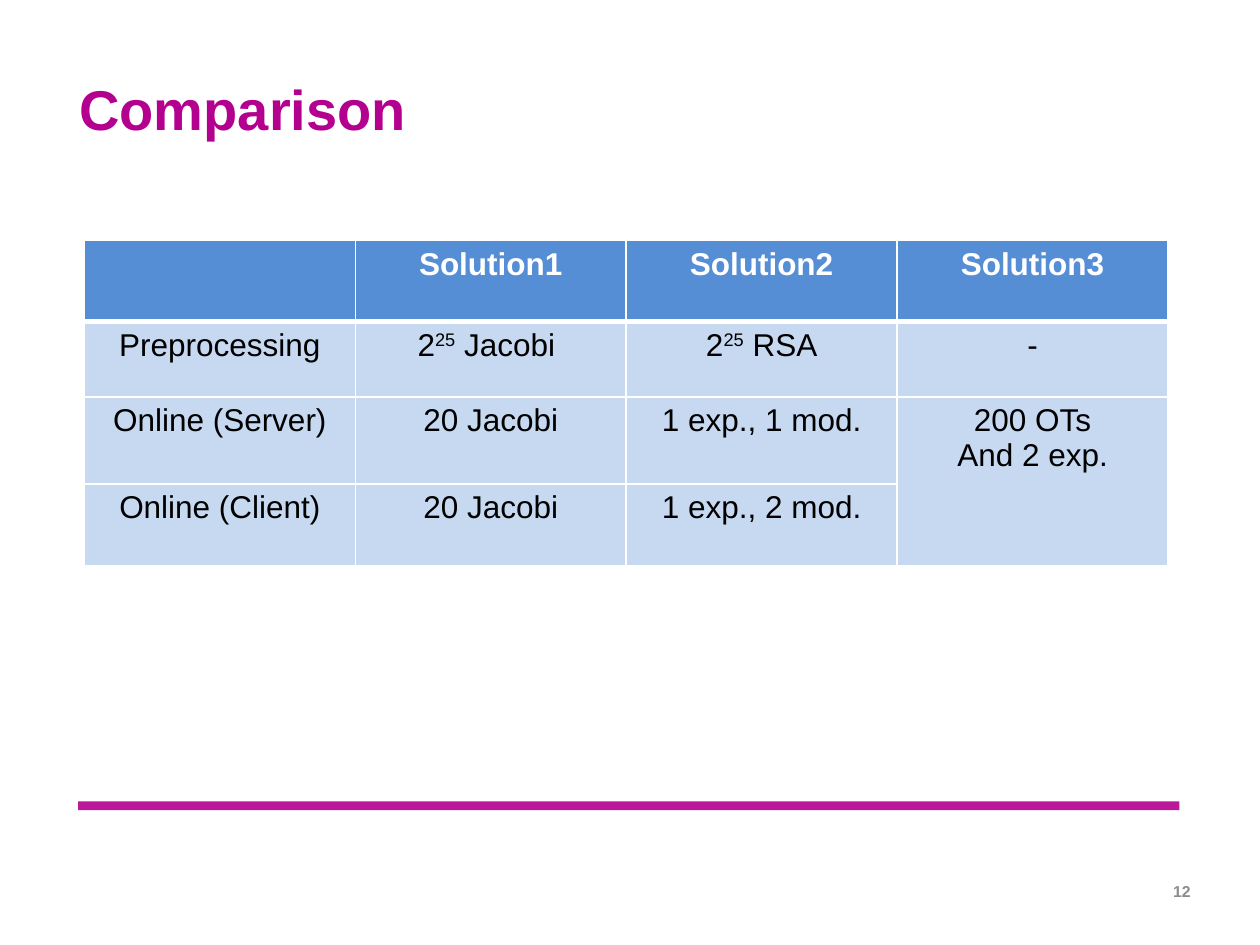
from lxml import etree
from pptx import Presentation
from pptx.dml.color import RGBColor
from pptx.enum.shapes import MSO_SHAPE
from pptx.enum.text import MSO_ANCHOR, MSO_AUTO_SIZE, PP_ALIGN
from pptx.oxml.ns import qn
from pptx.util import Inches, Pt

RECTANGLE = MSO_SHAPE.RECTANGLE
TOP, MIDDLE = MSO_ANCHOR.TOP, MSO_ANCHOR.MIDDLE
LEFT, CENTER, RIGHT = PP_ALIGN.LEFT, PP_ALIGN.CENTER, PP_ALIGN.RIGHT
NO_AUTOFIT = MSO_AUTO_SIZE.NONE

TITLE_ONLY = 5
COLORS = {
    "accent": "B4008F",
    "header": "558ED5",
    "body": "C6D9F1",
    "white": "FFFFFF",
    "black": "000000",
    "number": "8C8C8C",
}
TITLE_FONT = {"name": "Arial", "size": Pt(32), "bold": True}
NUMBER_FONT = {"name": "Arial", "size": Pt(9), "bold": True}
HEADER_FONT = {"name": "Arial", "size": Pt(18), "bold": True}
BODY_FONT = {"name": "Arial", "size": Pt(18), "bold": False}

COLUMN_WIDTH = 2.15
ROW_HEIGHTS = [0.64, 0.6, 0.69, 0.65]
ROWS = [
    ["", "Solution1", "Solution2", "Solution3"],
    ["Preprocessing", "2^25^ Jacobi ", "2^25^ RSA", "-"],
    ["Online (Server)", "20 Jacobi", "1 exp., 1 mod.", "200 OTs\nAnd 2 exp."],
    ["Online (Client)", "20 Jacobi", "1 exp., 2 mod.", ""],
]


def rgb(color):
    return RGBColor.from_string(COLORS[color])


def apply_values(target, values):
    for name, value in values.items():
        setattr(target, name, value)


def add_run(paragraph, text, font, color):
    run = paragraph.add_run()
    run.text = text
    apply_values(run.font, font)
    run.font.color.rgb = rgb(color)
    return run


def format_frame(text_frame, anchor, margin_top=0):
    apply_values(text_frame, {
        "word_wrap": True,
        "auto_size": NO_AUTOFIT,
        "vertical_anchor": anchor,
        "margin_left": 0,
        "margin_right": 0,
        "margin_top": Inches(margin_top),
        "margin_bottom": 0,
    })


def add_title(slide, text):
    title = slide.shapes.title
    apply_values(title, {
        "left": Inches(0.63),
        "top": Inches(0.54),
        "width": Inches(8.74),
        "height": Inches(0.69),
    })
    format_frame(title.text_frame, TOP, 0.05)
    paragraph = title.text_frame.paragraphs[0]
    paragraph.alignment = LEFT
    add_run(paragraph, text, TITLE_FONT, "accent")


def add_footer_bar(slide):
    bar = slide.shapes.add_shape(
        RECTANGLE, Inches(0.62), Inches(6.36), Inches(8.74), Inches(0.07))
    bar.shadow.inherit = False
    bar.fill.solid()
    bar.fill.fore_color.rgb = rgb("accent")
    bar.line.fill.background()
    color = bar.fill._xPr.find(".//" + qn("a:srgbClr"))
    etree.SubElement(color, qn("a:alpha"), val="90000")


def add_slide_number(slide, text):
    box = slide.shapes.add_textbox(
        Inches(7.76), Inches(7), Inches(1.69), Inches(0.14))
    format_frame(box.text_frame, MIDDLE)
    paragraph = box.text_frame.paragraphs[0]
    paragraph.alignment = RIGHT
    add_run(paragraph, text, NUMBER_FONT, "number")


def set_borders(cell, widths):
    properties = cell._tc.get_or_add_tcPr()
    for side, width in widths.items():
        line = etree.SubElement(properties, qn(f"a:ln{side}"), w=str(Pt(width)))
        fill = etree.SubElement(line, qn("a:solidFill"))
        etree.SubElement(fill, qn("a:srgbClr"), val=COLORS["white"])


def write_cell(cell, text, font, color):
    for index, line in enumerate(text.split("\n")):
        frame = cell.text_frame
        paragraph = frame.add_paragraph() if index else frame.paragraphs[0]
        paragraph.alignment = CENTER
        for position, part in enumerate(line.split("^")):
            if part:
                run = add_run(paragraph, part, font, color)
                if position % 2:
                    run.font._rPr.set("baseline", "30000")


def add_comparison_table(slide):
    columns = len(ROWS[0])
    table = slide.shapes.add_table(
        len(ROWS), columns, Inches(0.67), Inches(1.91),
        Inches(COLUMN_WIDTH * columns), Inches(sum(ROW_HEIGHTS))).table
    table.horz_banding = False
    for column in table.columns:
        column.width = Inches(COLUMN_WIDTH)
    for row_index, (height, texts) in enumerate(zip(ROW_HEIGHTS, ROWS)):
        table.rows[row_index].height = Inches(height)
        is_header = row_index == 0
        font, color, fill = (
            (HEADER_FONT, "white", "header") if is_header
            else (BODY_FONT, "black", "body"))
        widths = {"L": 1, "R": 1, "T": 3 if row_index == 1 else 1,
                  "B": 3 if is_header else 1}
        for column_index, text in enumerate(texts):
            cell = table.cell(row_index, column_index)
            set_borders(cell, widths)
            cell.fill.solid()
            cell.fill.fore_color.rgb = rgb(fill)
            write_cell(cell, text, font, color)
    table.cell(2, 3).merge(table.cell(3, 3))


def main():
    presentation = Presentation()
    presentation.slide_width = Inches(10)
    presentation.slide_height = Inches(7.5)
    slide = presentation.slides.add_slide(presentation.slide_layouts[TITLE_ONLY])
    add_footer_bar(slide)
    add_slide_number(slide, "12")
    add_title(slide, "Comparison")
    add_comparison_table(slide)
    presentation.save("out.pptx")


if __name__ == "__main__":
    main()
